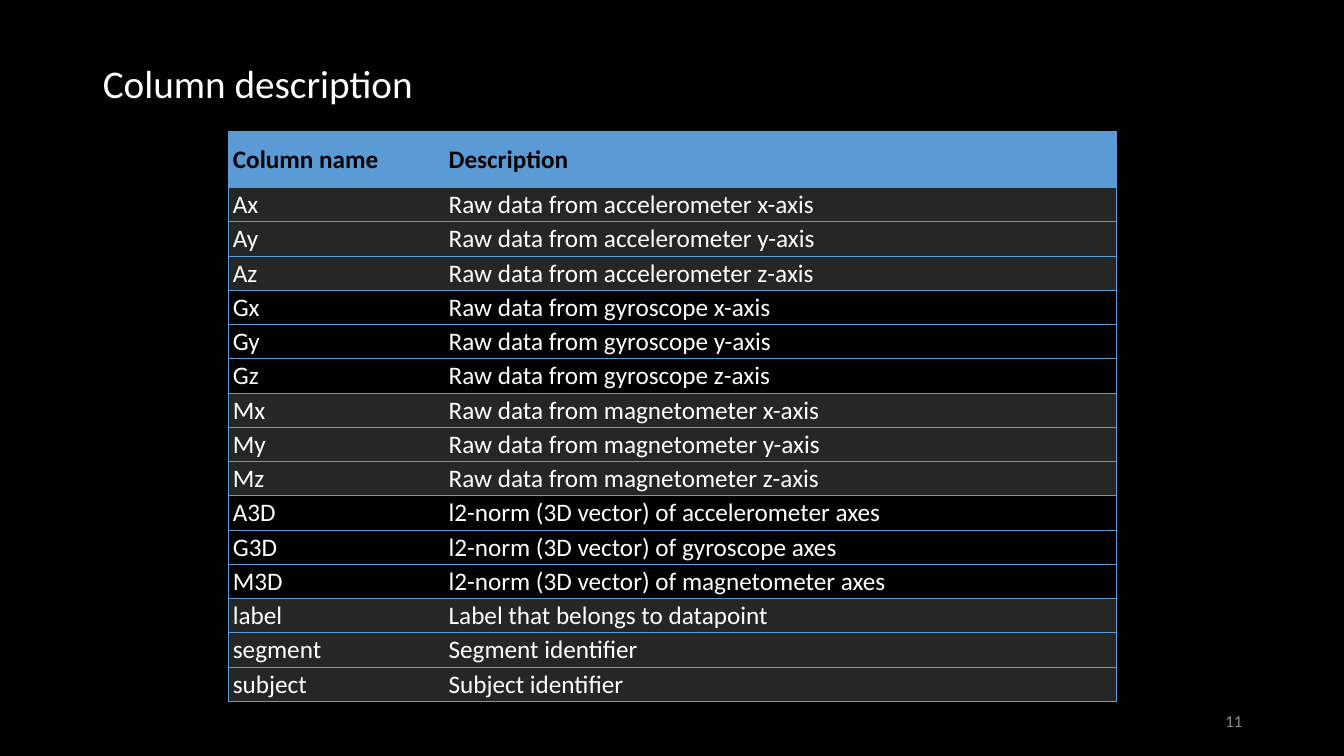
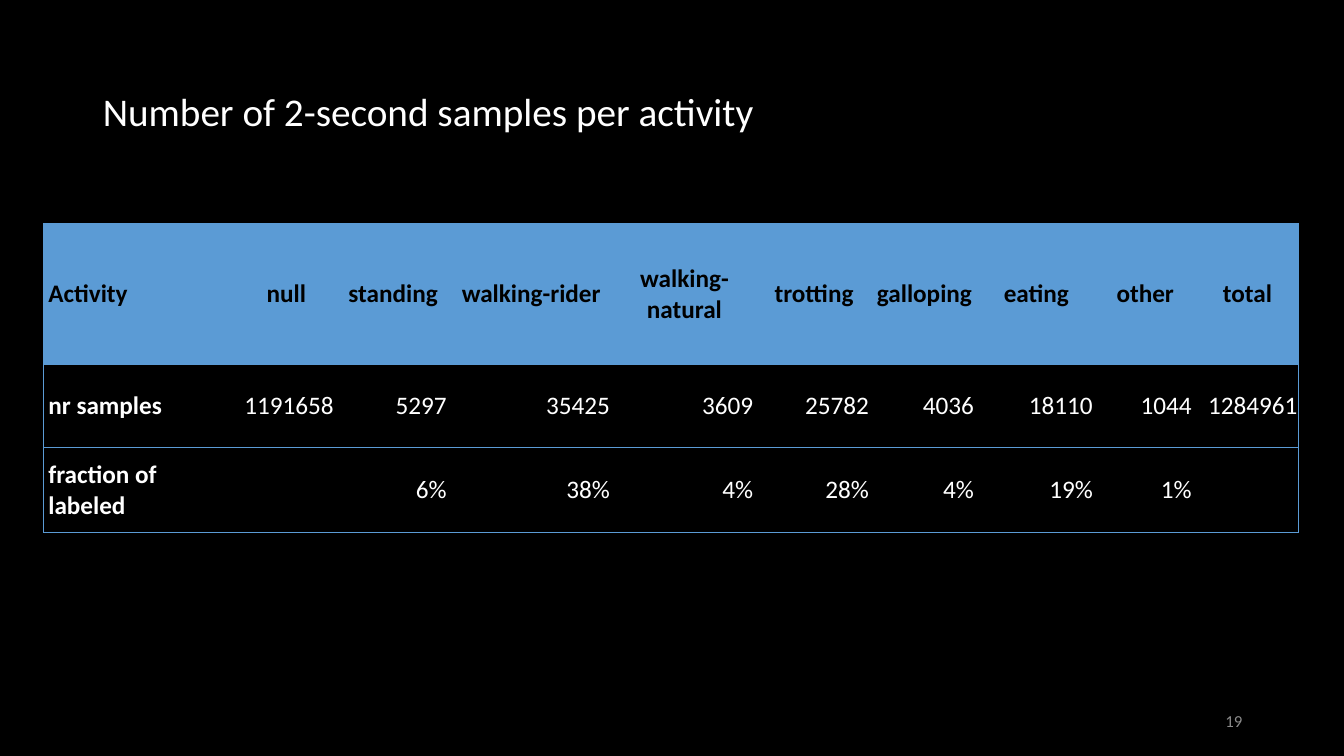
from lxml.etree import SubElement
from pptx import Presentation
from pptx.dml.color import RGBColor
from pptx.enum.text import MSO_ANCHOR, MSO_AUTO_SIZE, PP_ALIGN
from pptx.oxml.ns import qn
from pptx.util import Inches, Pt

# Shared look
BLACK = RGBColor(0x00, 0x00, 0x00)
WHITE = RGBColor(0xFF, 0xFF, 0xFF)
BLUE = RGBColor(0x5B, 0x9B, 0xD5)
DARK_GREY = RGBColor(0x26, 0x26, 0x26)
NUMBER_GREY = RGBColor(0x8C, 0x8C, 0x8C)
FONT = "Calibri"

# Sensor columns come in groups of three: one per axis, then one norm per sensor
SENSORS = ("accelerometer", "gyroscope", "magnetometer")
COLUMN_ROWS = [
    ("Column name", "Description"),
    *((f"{sensor[0].upper()}{axis}", f"Raw data from {sensor} {axis}-axis")
      for sensor in SENSORS for axis in "xyz"),
    *((f"{sensor[0].upper()}3D", f"l2-norm (3D vector) of {sensor} axes")
      for sensor in SENSORS),
    ("label", "Label that belongs to datapoint"),
    ("segment", "Segment identifier"),
    ("subject", "Subject identifier"),
]
ACTIVITY_ROWS = [
    ("Activity", "null", "standing", "walking-rider", "walking-natural",
     "trotting", "galloping", "eating", "other", "total"),
    ("nr samples", "1191658", "5297", "35425", "3609",
     "25782", "4036", "18110", "1044", "1284961"),
    ("fraction of labeled", "", "6%", "38%", "4%",
     "28%", "4%", "19%", "1%", ""),
]


def style_text(p, size, color, bold=False, align=PP_ALIGN.LEFT):
    p.alignment = align
    p.font.name = FONT
    p.font.size = Pt(size)
    p.font.bold = bold
    p.font.color.rgb = color


def add_slide(prs, title, title_height, number):
    """Add a slide with its title and slide number."""
    s = prs.slides.add_slide(prs.slide_layouts[5])
    sp = s.shapes.title
    sp.left, sp.top = Inches(0.92), Inches(0.4)
    sp.width, sp.height = Inches(11.5), Inches(title_height)
    tf = sp.text_frame
    tf.text = title
    tf.auto_size = MSO_AUTO_SIZE.NONE
    tf.vertical_anchor = MSO_ANCHOR.MIDDLE
    tf.paragraphs[0].line_spacing = 0.9
    style_text(tf.paragraphs[0], 28, WHITE)

    sp = s.shapes.add_textbox(Inches(9.42), Inches(6.95), Inches(3), Inches(0.4))
    tf = sp.text_frame
    tf.word_wrap = True
    tf.vertical_anchor = MSO_ANCHOR.MIDDLE
    tf.text = str(number)
    style_text(tf.paragraphs[0], 12, NUMBER_GREY, align=PP_ALIGN.RIGHT)
    return s


def set_borders(cell, sides):
    """Draw blue lines on the given sides and none on the others."""
    tc_pr = cell._tc.get_or_add_tcPr()
    for side in "LRTB":
        line = SubElement(tc_pr, qn(f"a:ln{side}"), w=str(Pt(0.5)))
        if side in sides:
            fill = SubElement(line, qn("a:solidFill"))
            SubElement(fill, qn("a:srgbClr"), val=str(BLUE))
        else:
            SubElement(line, qn("a:noFill"))


def add_grid(s, left, top, widths, heights, rows, row_fill, cell_style):
    """Add a table; cell_style(row, column) gives boldness and alignment."""
    frame = s.shapes.add_table(len(rows), len(widths), Inches(left), Inches(top),
                               Inches(sum(widths)), Inches(sum(heights)))
    table = frame.table
    table.horz_banding = False
    for column, width in zip(table.columns, widths):
        column.width = Inches(width)
    for r, (row, height) in enumerate(zip(rows, heights)):
        table.rows[r].height = Inches(height)
        for c, text in enumerate(row):
            cell = table.cell(r, c)
            outer = "L" * (c == 0) + "R" * (c == len(row) - 1)
            set_borders(cell, "TB" + outer)
            cell.fill.solid()
            cell.fill.fore_color.rgb = BLUE if r == 0 else row_fill(r)
            cell.margin_left = Inches(0.05)
            cell.margin_right = cell.margin_top = Inches(0.01)
            cell.margin_bottom = 0
            cell.vertical_anchor = MSO_ANCHOR.MIDDLE
            cell.text = text
            bold, align = cell_style(r, c)
            style_text(cell.text_frame.paragraphs[0], 18,
                       BLACK if r == 0 else WHITE, bold, align)


def group_fill(r):
    """Alternate the fill after every three rows."""
    return BLACK if (r - 1) // 3 % 2 else DARK_GREY


def activity_style(r, c):
    if c == 0:
        return True, PP_ALIGN.LEFT
    return (True, PP_ALIGN.CENTER) if r == 0 else (False, PP_ALIGN.RIGHT)


def main():
    prs = Presentation()
    prs.slide_width, prs.slide_height = Inches(13.33), Inches(7.5)
    background = prs.slide_master.background.fill
    background.solid()
    background.fore_color.rgb = BLACK

    # Column description
    s = add_slide(prs, "Column description", 0.9, 11)
    add_grid(s, 2.26, 1.3, [2.14, 6.67], [0.56] + [0.34] * 15, COLUMN_ROWS,
             group_fill, lambda r, c: (r == 0, PP_ALIGN.LEFT))

    # Samples per activity
    s = add_slide(prs, "Number of 2-second samples per activity", 1.45, 19)
    add_grid(s, 0.43, 2.22,
             [1.89, 1, 1.12, 1.62, 1.42, 1.15, 1.04, 1.18, 0.98, 1.05],
             [1.39, 0.83, 0.84], ACTIVITY_ROWS, lambda r: BLACK, activity_style)

    prs.save("out.pptx")


if __name__ == "__main__":
    main()
